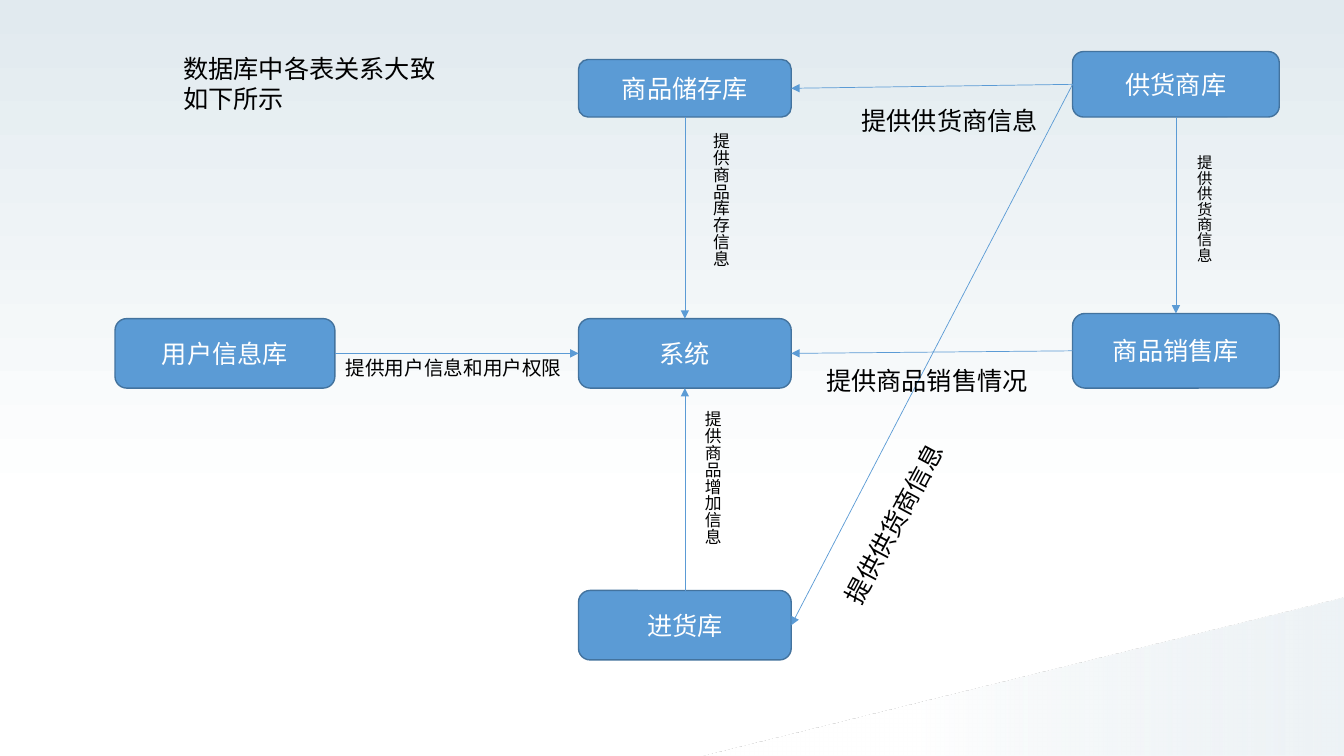
"""Build a slide showing how the database tables relate to one another."""
from pptx import Presentation
from pptx import util as u
from pptx.dml.color import RGBColor
from pptx.enum import shapes, text
from pptx.oxml.ns import qn
from lxml import etree

BLUE = RGBColor(0x5B, 0x9B, 0xD5)
EDGE = RGBColor(0x43, 0x73, 0x9E)
MIST = RGBColor(0xE1, 0xEA, 0xEF)
WHITE = RGBColor(0xFF, 0xFF, 0xFF)
BLACK = RGBColor(0x00, 0x00, 0x00)
FONT = "Noto Sans CJK SC"
TOP, LEFT, BOTTOM, RIGHT = range(4)


def add_gradient(s, kind, bounds, angle):
    sp = s.shapes.add_shape(kind, *map(u.Cm, bounds))
    sp.shadow.inherit = False
    sp.line.fill.background()
    sp.fill.gradient()
    sp.fill.gradient_angle = angle
    for stop, color, position in zip(sp.fill.gradient_stops, (MIST, WHITE), (0, 0.67)):
        stop.color.rgb = color
        stop.position = position
    return sp


def write(sp, words, size, color, frame_format, align):
    tf = sp.text_frame
    for name, value in frame_format.items():
        setattr(tf, name, value)
    p = tf.paragraphs[0]
    p.alignment = align
    r = p.add_run()
    r.text = words
    for name, value in {"size": u.Pt(size), "name": FONT}.items():
        setattr(r.font, name, value)
    r.font.color.rgb = color
    etree.SubElement(r._r.get_or_add_rPr(), qn("a:ea"), typeface=FONT)


prs = Presentation()
prs.slide_width, prs.slide_height = u.Cm(33.87), u.Cm(19.05)
s = prs.slides.add_slide(prs.slide_layouts[6])

add_gradient(s, shapes.MSO_SHAPE.RECTANGLE, (0, 0, 33.87, 19.05), 270)
corner = add_gradient(s, shapes.MSO_SHAPE.ISOSCELES_TRIANGLE, (17.73, 15.06, 16.14, 3.99), 180)
corner.adjustments[0] = 1
first_color = next(corner._element.spPr.iter(qn("a:srgbClr")))
etree.SubElement(first_color, qn("a:alpha"), val="57000")

tables = {
    "商品储存库": (14.58, 1.5, 5.36, 1.45),
    "系统": (14.58, 8.03, 5.36, 1.75),
    "进货库": (14.58, 14.88, 5.36, 1.75),
    "商品销售库": (27.03, 7.9, 5.21, 1.88),
    "用户信息库": (2.9, 8.03, 5.54, 1.75),
    "供货商库": (27.03, 1.3, 5.21, 1.65),
}
boxes = {}
for name, bounds in tables.items():
    sp = s.shapes.add_shape(shapes.MSO_SHAPE.ROUNDED_RECTANGLE, *map(u.Cm, bounds))
    sp.shadow.inherit = False
    sp.fill.solid()
    sp.fill.fore_color.rgb = BLUE
    sp.line.color.rgb = EDGE
    sp.line.width = u.Pt(1)
    write(sp, name, 18, WHITE, {"vertical_anchor": text.MSO_ANCHOR.MIDDLE},
          text.PP_ALIGN.CENTER)
    boxes[name] = sp

relations = [
    ("用户信息库", RIGHT, "系统", LEFT),
    ("供货商库", BOTTOM, "商品销售库", TOP),
    ("供货商库", LEFT, "商品储存库", RIGHT),
    ("商品储存库", BOTTOM, "系统", TOP),
    ("进货库", TOP, "系统", BOTTOM),
    ("商品销售库", LEFT, "系统", RIGHT),
    ("供货商库", LEFT, "进货库", RIGHT),
]
for source, source_side, target, target_side in relations:
    arrow = s.shapes.add_connector(shapes.MSO_CONNECTOR.STRAIGHT, 0, 0, 0, 0)
    arrow.begin_connect(boxes[source], source_side)
    arrow.end_connect(boxes[target], target_side)
    arrow.line.color.rgb = BLUE
    arrow.line.width = u.Pt(0.5)
    etree.SubElement(arrow.line._get_or_add_ln(), qn("a:tailEnd"), type="triangle")
    etree.SubElement(arrow._element.spPr, qn("a:effectLst"))

labels = [
    ("提供用户信息和用户权限", (8.46, 8.84, 5.99, 0.86), 14, 0, False),
    ("提供供货商信息", (29.72, 3.66, 0.99, 3.91), 11, 0, True),
    ("提供供货商信息", (20.04, 12.67, 4.98, 1.02), 18, 298.2, False),
    ("提供商品销售情况", (20.57, 9.07, 5.99, 1.02), 18, 0, False),
    ("提供供货商信息", (21.46, 2.54, 5.36, 1.02), 18, 0, False),
    ("提供商品库存信息", (17.53, 3.1, 1.02, 4.8), 12, 0, True),
    ("提供商品增加信息", (17.32, 10.11, 1.02, 4.78), 12, 0, True),
    ("数据库中各表关系大致如下所示", (4.37, 1.22, 7.06, 1.8), 18, 0, False),
]
label_format = {"word_wrap": True, "auto_size": text.MSO_AUTO_SIZE.SHAPE_TO_FIT_TEXT}
for words, bounds, size, rotation, vertical in labels:
    sp = s.shapes.add_textbox(*map(u.Cm, bounds))
    sp.rotation = rotation
    write(sp, words, size, BLACK, label_format, text.PP_ALIGN.LEFT)
    if vertical:
        sp.text_frame._txBody.bodyPr.set("vert", "eaVert")

prs.save("out.pptx")
